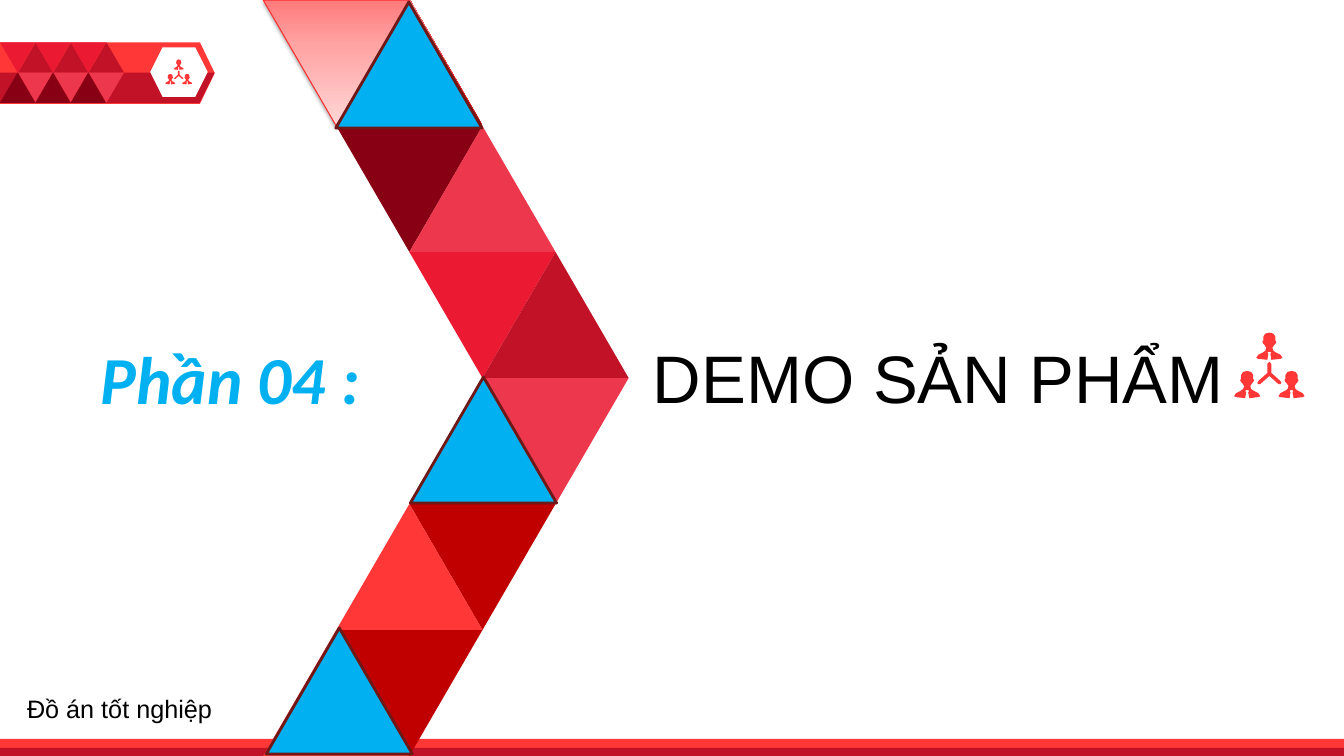
from lxml.etree import SubElement
from pptx import Presentation
from pptx.dml.color import RGBColor
from pptx.enum.shapes import MSO_SHAPE
from pptx.enum.text import MSO_AUTO_SIZE, PP_ALIGN
from pptx.oxml import parse_xml
from pptx.oxml.ns import nsdecls, qn
from pptx.util import Inches, Pt

RED, DEEP, DARK, ROSE = "FF3737", "C21227", "880014", "ED374D"
PINK, BRICK, BLUE, EDGE = "EB1932", "C00000", "00B0F0", "701818"
WIDE, HIGH = 1.45, 1.25
HOT = [(0, "CF0000"), (48, "FF3C3C"), (100, "FF8787")]
PALE = [(0, "FF7A7B"), (35, "FFA3A3"), (100, "FFD6D6")]

# column in half widths, row, points down, colour
RIBBON = [
    (2, 1, True, ROSE), (1, 1, True, DARK), (2, 1, False, ROSE),
    (2, 2, True, PINK), (3, 2, False, DEEP), (3, 3, True, ROSE),
    (2, 3, False, DARK), (2, 4, True, BRICK), (1, 4, False, RED),
    (1, 5, True, BRICK), (0, 5, False, RED),
][1:]
TILES = [(0, 0, True, PINK), (1, 0, False, DEEP),
         (1, 1, True, ROSE), (0, 1, False, DARK)]
HALF = [(0, 0), (4, 1), (6, 4), (6, 8), (7, 9), (6, 11), (5, 12), (3, 15),
        (4, 18), (7, 20), (11, 22), (13, 25), (11, 26), (2, 27), (1, 21),
        (2, 20), (1, 19)]
BRANCH = [(0, 29), (2, 31), (2, 40), (11, 48), (12, 50), (11, 51),
          (9, 51), (0, 43)]


def paint(color, hue):
    """Set a colour from a hex string."""
    color.rgb = RGBColor.from_string(hue)


def finish(shape, hue, line=None, width=1):
    """Give a shape its fill and outline, without a shadow."""
    shape.shadow.inherit = False
    if hue:
        shape.fill.solid()
        paint(shape.fill.fore_color, hue)
    if line:
        paint(shape.line.color, line)
        shape.line.width = Pt(width)
    else:
        shape.line.fill.background()
    return shape


def preset(slide, kind, box, hue, line=None, width=1):
    """Add a preset shape in a box of inches."""
    shape = slide.shapes.add_shape(kind, *map(Inches, box))
    return finish(shape, hue, line, width)


def wedge(slide, box, down, hue, line=None, width=1):
    """Add a triangle that points up or down."""
    shape = preset(slide, MSO_SHAPE.ISOSCELES_TRIANGLE, box, hue, line, width)
    shape.rotation = 180 if down else 0
    return shape


def blend(shape, stops):
    """Fill a shape with a gradient that starts at its base."""
    marks = "".join(
        f'<a:gs pos="{pos * 1000}"><a:srgbClr val="{hue}"/></a:gs>'
        for pos, hue in stops)
    fill = parse_xml(
        f'<a:gradFill {nsdecls("a")} rotWithShape="1"><a:gsLst>{marks}'
        '</a:gsLst><a:lin ang="16200000" scaled="1"/></a:gradFill>')
    shape._element.spPr.find(qn("a:prstGeom")).addnext(fill)


def shade(shape):
    """Give a shape a soft shadow below it."""
    effects = shape._element.spPr.find(qn("a:effectLst"))
    outer = SubElement(effects, qn("a:outerShdw"), blurRad=str(Pt(3.1)),
                       dist=str(Pt(1.6)), dir="5400000", rotWithShape="0")
    color = SubElement(outer, qn("a:srgbClr"), val="000000")
    SubElement(color, qn("a:alpha"), val="37000")


def outline(slide, rings, left, top, hue, size=1):
    """Add closed outlines drawn in hundredths of an inch."""
    pen = slide.shapes.build_freeform(*rings[0][0], scale=Inches(0.01) * size)
    for ring in rings:
        if ring is not rings[0]:
            pen.move_to(*ring[0])
        pen.add_line_segments(ring[1:], close=True)
    finish(pen.convert_to_shape(Inches(left), Inches(top)), hue)


def mirror(half, mid, top):
    """Return a whole ring from its right half."""
    right = [(mid + x, top + y) for x, y in half]
    return right + [(mid - x, top + y) for x, y in reversed(half) if x]


def team(slide, left, top, size):
    """Add the icon of three linked people."""
    rings = [mirror(HALF, *spot) for spot in [(57, 38), (13, 38), (35, 0)]]
    outline(slide, rings + [mirror(BRANCH, 35, 0)], left, top, RED, size)


def label(slide, box, text, size, font, hue, slant=False, mid=False, grow=True):
    """Add a text box with one run."""
    frame = slide.shapes.add_textbox(*map(Inches, box)).text_frame
    frame.word_wrap = True
    if grow:
        frame.auto_size = MSO_AUTO_SIZE.SHAPE_TO_FIT_TEXT
    para = frame.paragraphs[0]
    para.alignment = PP_ALIGN.CENTER if mid else PP_ALIGN.LEFT
    run = para.add_run()
    run.text = text
    run.font.name, run.font.size = font, Pt(size)
    run.font.bold = run.font.italic = slant
    paint(run.font.color, hue)


def badge(slide):
    """Add the tiled tag at the top left."""
    tag = preset(slide, MSO_SHAPE.PENTAGON, (0, 0.42, 2.13, 0.61), RED)
    tag.adjustments[0] = 0.24
    outline(slide, [[(0, 72), (213, 72), (198, 102), (0, 102)]], 0, 0, DEEP)
    preset(slide, MSO_SHAPE.HEXAGON, (1.49, 0.47, 0.57, 0.49), "FFFFFF")
    team(slide, 1.64, 0.59, 0.38)
    for step in range(3):
        for col, row, down, hue in TILES:
            box = 0.35 * step + 0.18 * col, 0.42 + 0.3 * row, 0.35, 0.3
            wedge(slide, box, down, hue)


def ribbon(slide):
    """Add the large arrow of triangles."""
    blend(wedge(slide, (3.34, 0, WIDE, HIGH), False, None), HOT)
    pale = wedge(slide, (2.61, 0, WIDE, HIGH), True, None, "FD3030", 0.75)
    blend(pale, PALE)
    shade(pale)
    for col, row, down, hue in RIBBON:
        box = 2.61 + col * WIDE / 2, row * HIGH, WIDE, HIGH
        wedge(slide, box, down, hue)
    for left, top in [(4.07, 3.74), (2.64, 6.23), (3.33, 0.02)]:
        wedge(slide, (left, top, WIDE, HIGH), False, BLUE, EDGE, 2)


def main():
    """Build the slide and save it."""
    deck = Presentation()
    deck.slide_width, deck.slide_height = Inches(13.33), Inches(7.5)
    slide = deck.slides.add_slide(deck.slide_layouts[6])
    badge(slide)
    for top, high, hue in [(7.33, 0.16, RED), (7.42, 0.08, DEEP)]:
        preset(slide, MSO_SHAPE.RECTANGLE, (0, top, 13.33, high), hue)
    label(slide, (0.9, 3.3, 4.12, 0.9), "Phần 04 :", 48, "Calibri", BLUE,
          slant=True)
    label(slide, (6.31, 3.29, 6, 0.91), "DEMO SẢN PHẨM", 48, "Arial",
          "000000", mid=True)
    team(slide, 12.24, 3.3, 1)
    label(slide, (0.17, 6.83, 2.83, 0.4), "Đồ án tốt nghiệp", 18, "Arial",
          "000000", grow=False)
    ribbon(slide)


    deck.save("out.pptx")


if __name__ == "__main__":
    main()
